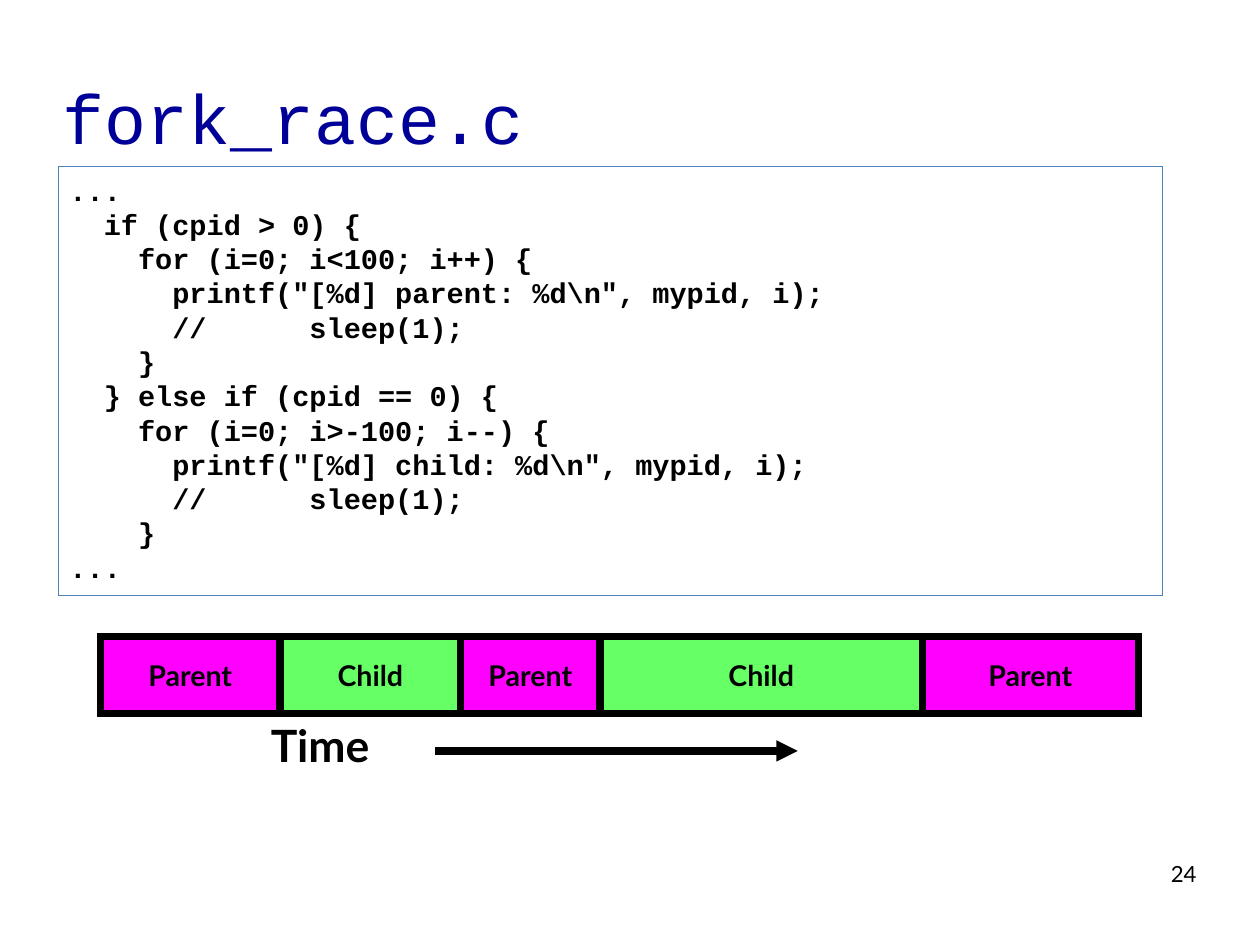
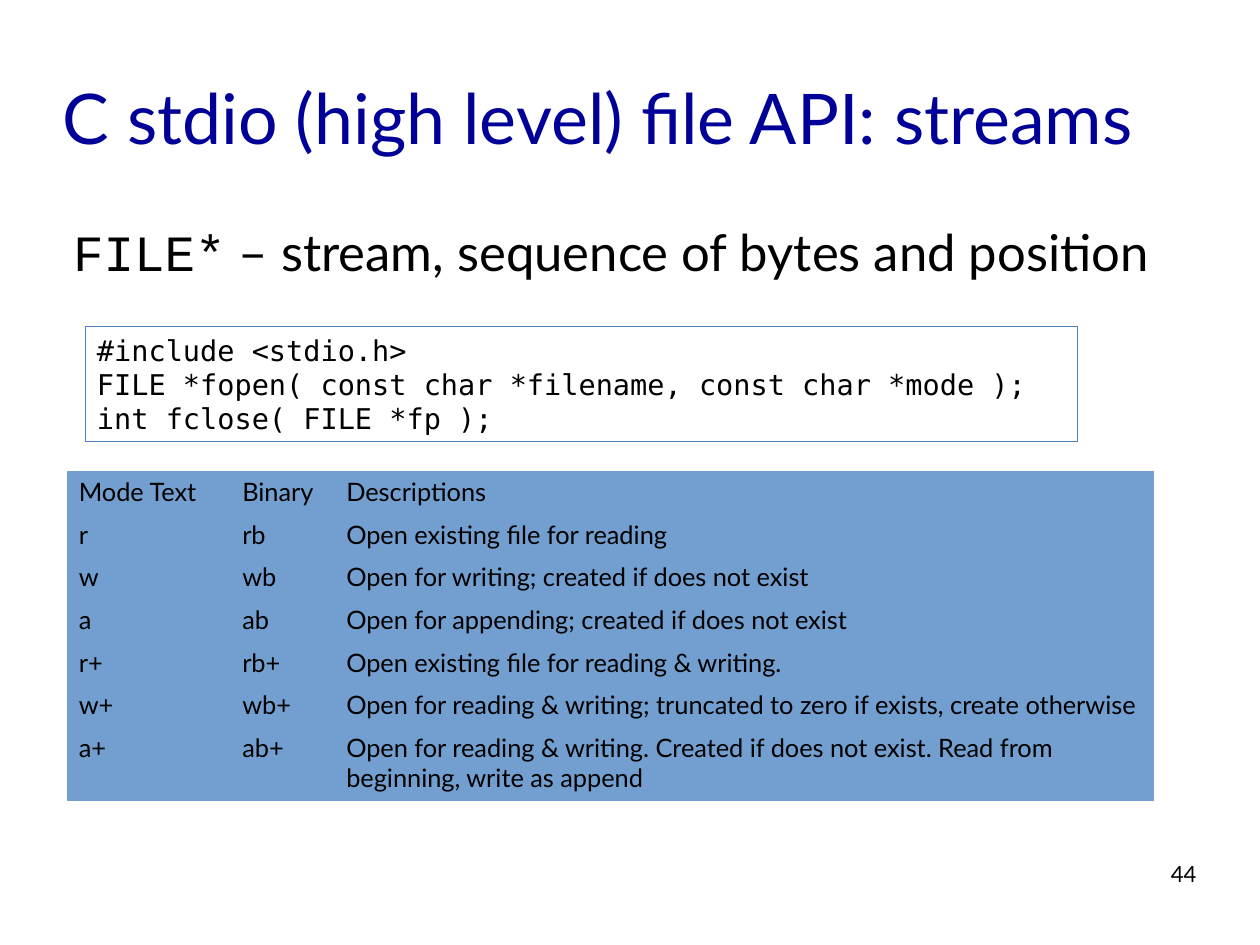
from itertools import pairwise

from pptx import Presentation
from pptx.dml.color import RGBColor
from pptx.enum.shapes import MSO_CONNECTOR as Connector, MSO_SHAPE as Shape
from pptx.enum.text import MSO_ANCHOR as Anchor, PP_ALIGN as Align
from pptx.oxml.ns import qn
from pptx.util import Emu, Inches, Pt
from lxml.etree import SubElement

SLIDE_SIZE = Emu(10080625), Emu(7559675)
COLORS = {
    "title": "000099",
    "text": "000000",
    "border": "4F81BD",
    "Parent": "FF00FF",
    "Child": "66FF66",
    "table": "729FCF",
}
SANS, COURIER, MONO = "Lato", "Courier New", "DejaVu Sans Mono"
NO_GRID_STYLE = "{2D5ABB26-0587-4C30-8999-92F81FD0307C}"

RACE_CODE = r'''...
  if (cpid > 0) {
    for (i=0; i<100; i++) {
      printf("[%d] parent: %d\n", mypid, i);
      //      sleep(1);
    }
  } else if (cpid == 0) {
    for (i=0; i>-100; i--) {
      printf("[%d] child: %d\n", mypid, i);
      //      sleep(1);
    }
...'''
RUN_ORDER = ["Parent", "Child", "Parent", "Child", "Parent"]
RUN_EDGES = [0.88, 2.45, 4.03, 5.25, 8.07, 9.96]

STDIO_CODE = """#include <stdio.h>
FILE *fopen( const char *filename, const char *mode );
int fclose( FILE *fp );"""
STREAM_SPANS = [("FILE*", COURIER), (" – stream, sequence of bytes and position", SANS)]
MODES = [
    ("Mode Text", "Binary", "Descriptions"),
    ("r", "rb", "Open existing file for reading"),
    ("w", "wb", "Open for writing; created if does not exist"),
    ("a", "ab", "Open for appending; created if does not exist"),
    ("r+", "rb+", "Open existing file for reading & writing."),
    ("w+", "wb+", "Open for reading & writing; truncated to zero if exists, create otherwise"),
    ("a+", "ab+", "Open for reading & writing. Created if does not exist. "
                  "Read from beginning, write as append"),
]
MODE_WIDTHS = [1.43, 0.91, 7.17]
MODES_HEIGHT, LAST_HEIGHT = 2.89, 0.65


def rgb(name):
    return RGBColor.from_string(COLORS[name])


def style(target, size, face=SANS, color="text", bold=False):
    font = target.font
    font.size, font.name, font.bold = Pt(size), face, bold
    font.color.rgb = rgb(color)


def set_insets(frame, side, top):
    frame.margin_left = frame.margin_right = Inches(side)
    frame.margin_top = frame.margin_bottom = Inches(top)


def add_text(page, area, text, size, face=SANS, color="text", bold=False,
             align=Align.LEFT, anchor=Anchor.TOP):
    box = page.shapes.add_textbox(*map(Inches, area))
    frame = box.text_frame
    frame.word_wrap = True
    frame.vertical_anchor = anchor
    set_insets(frame, 0, 0)
    para = frame.paragraphs[0]
    para.text, para.alignment = text, align
    style(para, size, face, color, bold)
    return para


def add_page(deck, title, number, title_face=SANS):
    page = deck.slides.add_slide(deck.slide_layouts[6])
    add_text(page, (0.55, 0.33, 9.92, 1.38), title, 44, title_face, "title",
             anchor=Anchor.MIDDLE)
    add_text(page, (7.9, 7.53, 2.57, 0.57), number, 14, align=Align.RIGHT)
    return page


def add_rect(page, area, border, width, fill=None):
    rect = page.shapes.add_shape(Shape.RECTANGLE, *map(Inches, area))
    rect.shadow.inherit = False
    rect.line.color.rgb = rgb(border)
    rect.line.width = Pt(width)
    SubElement(rect.line._get_or_add_ln(), qn("a:miter"), lim="800000")
    if fill:
        rect.fill.solid()
        rect.fill.fore_color.rgb = rgb(fill)
    else:
        rect.fill.background()
    return rect


def add_code(page, area, code, face, bold=False):
    frame = add_rect(page, area, "border", 0).text_frame
    frame.word_wrap = True
    frame.vertical_anchor = Anchor.TOP
    set_insets(frame, 0.1, 0.05)
    frame.text = code
    for para in frame.paragraphs:
        para.alignment = Align.LEFT
        para.line_spacing = Pt(21.6)
        style(para, 18, face, bold=bold)


def add_timeline(page):
    for name, (left, right) in zip(RUN_ORDER, pairwise(RUN_EDGES)):
        segment = add_rect(page, (left, 5.57, right - left, 0.67), "text", 4.5, name)
        frame = segment.text_frame
        frame.vertical_anchor = Anchor.MIDDLE
        para = frame.paragraphs[0]
        para.text, para.alignment = name, Align.CENTER
        style(para, 18, bold=True)
    add_text(page, (2.37, 6.28, 1.03, 0.47), "Time", 28, bold=True)
    arrow = page.shapes.add_connector(
        Connector.STRAIGHT, *map(Inches, (3.81, 6.57, 6.98, 6.57)))
    arrow.line.color.rgb = rgb("text")
    arrow.line.width = Pt(4.5)
    SubElement(arrow.line._get_or_add_ln(), qn("a:tailEnd"), type="triangle")
    SubElement(arrow._element.spPr, qn("a:effectLst"))


def add_modes(page):
    area = (0.59, 4.12, sum(MODE_WIDTHS), MODES_HEIGHT)
    table = page.shapes.add_table(
        len(MODES), len(MODE_WIDTHS), *map(Inches, area)).table
    table.first_row = table.horz_banding = False
    table._tbl.tblPr.find(qn("a:tableStyleId")).text = NO_GRID_STYLE
    for column, width in zip(table.columns, MODE_WIDTHS):
        column.width = Inches(width)
    single = len(MODES) - 1
    heights = [(MODES_HEIGHT - LAST_HEIGHT) / single] * single + [LAST_HEIGHT]
    for row, height, texts in zip(table.rows, heights, MODES):
        row.height = Inches(height)
        for cell, text in zip(row.cells, texts):
            cell.fill.solid()
            cell.fill.fore_color.rgb = rgb("table")
            cell.text = text
            style(cell.text_frame.paragraphs[0], 16)


def main():
    deck = Presentation()
    deck.slide_width, deck.slide_height = SLIDE_SIZE

    race = add_page(deck, "fork_race.c", "24", COURIER)
    add_code(race, (0.51, 1.46, 9.66, 3.75), RACE_CODE, COURIER, bold=True)
    add_timeline(race)

    streams = add_page(deck, "C stdio (high level) file API: streams", "44")
    intro = add_text(streams, (0.64, 1.93, 9.83, 0.6), "", 32)
    for text, face in STREAM_SPANS:
        span = intro.add_run()
        span.text = text
        style(span, 32, face)
    add_code(streams, (0.75, 2.86, 8.68, 1), STDIO_CODE, MONO)
    add_modes(streams)

    deck.save("out.pptx")


if __name__ == "__main__":
    main()
